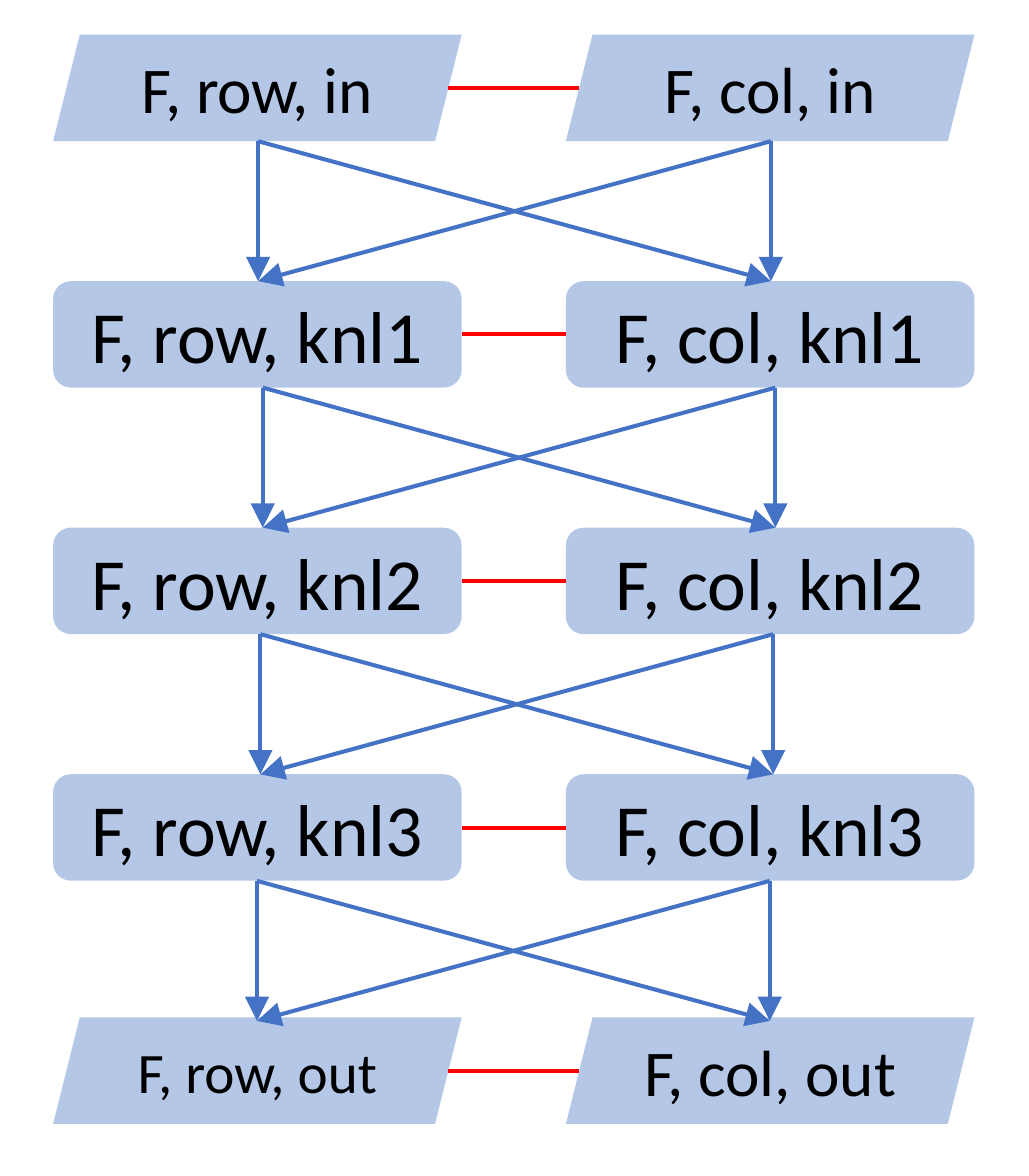
import pptx
import pptx.dml.color
import pptx.enum.shapes
import pptx.enum.text
import pptx.oxml.ns
import pptx.util
from lxml import etree

Cm = pptx.util.Cm
RGBColor = pptx.dml.color.RGBColor
Preset = pptx.enum.shapes.MSO_SHAPE

NODE_FILL = RGBColor(0xB4, 0xC7, 0xE7)
FLOW_BLUE = RGBColor(0x44, 0x72, 0xC4)
PAIR_RED = RGBColor(0xFF, 0x00, 0x00)
BLACK = RGBColor(0x00, 0x00, 0x00)

# All lengths are in centimetres.
LEFT, TOP = 0.46, 0.3
NODE_WIDTH, NODE_HEIGHT = 3.53, 0.92
COLUMN_PITCH, STAGE_PITCH = 4.43, 2.13
FLOW_HEIGHT = STAGE_PITCH - NODE_HEIGHT
OUTPUT_TOP = 8.79
SLANT = 0.25  # parallelogram offset as a share of its height


def add_line(slide, start, end, color, arrow=False):
    """Draw a straight line between two points, with an optional arrowhead."""
    line = slide.shapes.add_connector(
        pptx.enum.shapes.MSO_CONNECTOR.STRAIGHT, *map(Cm, (*start, *end)))
    line.line.color.rgb = color
    line.line.width = pptx.util.Pt(1)
    if arrow:
        etree.SubElement(line.line._get_or_add_ln(),
                         pptx.oxml.ns.qn("a:tailEnd"), type="triangle")
    etree.SubElement(line._element.spPr, pptx.oxml.ns.qn("a:effectLst"))


def add_node(slide, left, top, label, size, preset):
    """Draw one labelled node with its top left corner at the given point."""
    node = slide.shapes.add_shape(
        preset, *map(Cm, (left, top, NODE_WIDTH, NODE_HEIGHT)))
    node.shadow.inherit = False
    node.fill.solid()
    node.fill.fore_color.rgb = NODE_FILL
    node.line.fill.background()
    frame = node.text_frame
    frame.word_wrap = False
    frame.margin_left = frame.margin_right = 0
    frame.margin_top = frame.margin_bottom = 0
    frame.vertical_anchor = pptx.enum.text.MSO_ANCHOR.MIDDLE
    paragraph = frame.paragraphs[0]
    paragraph.alignment = pptx.enum.text.PP_ALIGN.CENTER
    run = paragraph.add_run()
    run.text = label
    run.font.name = "Calibri"
    run.font.size = pptx.util.Pt(size)
    run.font.color.rgb = BLACK


def add_stage(slide, left, top, stage, sizes, preset):
    """Draw the row and column nodes of a stage and the link between them."""
    for index, (axis, size) in enumerate(zip(("row", "col"), sizes)):
        add_node(slide, left + index * COLUMN_PITCH, top,
                 f"F, {axis}, {stage}", size, preset)
    inset = SLANT * NODE_HEIGHT / 2 if preset == Preset.PARALLELOGRAM else 0
    middle = top + NODE_HEIGHT / 2
    add_line(slide, (left + NODE_WIDTH - inset, middle),
             (left + COLUMN_PITCH + inset, middle), PAIR_RED)


def add_flow(slide, left, top):
    """Draw the four crossing arrows that join one stage to the next."""
    columns = (left, left + COLUMN_PITCH)
    for source in columns:
        for target in columns:
            add_line(slide, (source, top), (target, top + FLOW_HEIGHT),
                     FLOW_BLUE, arrow=True)


def main():
    """Build the slide: input, three kernels and output."""
    deck = pptx.Presentation()
    deck.slide_width, deck.slide_height = Cm(8.89), Cm(10.16)
    slide = deck.slides.add_slide(deck.slide_layouts[6])

    add_stage(slide, LEFT, TOP, "in", (16, 16), Preset.PARALLELOGRAM)
    for number in (1, 2, 3):
        add_stage(slide, LEFT, TOP + number * STAGE_PITCH, f"knl{number}",
                  (18, 18), Preset.ROUNDED_RECTANGLE)
    add_stage(slide, LEFT, OUTPUT_TOP, "out", (14, 16), Preset.PARALLELOGRAM)

    for index, flow_left in enumerate((2.23, 2.27, 2.25, 2.22)):
        add_flow(slide, flow_left, TOP + NODE_HEIGHT + index * STAGE_PITCH)

    deck.save("out.pptx")


main()
